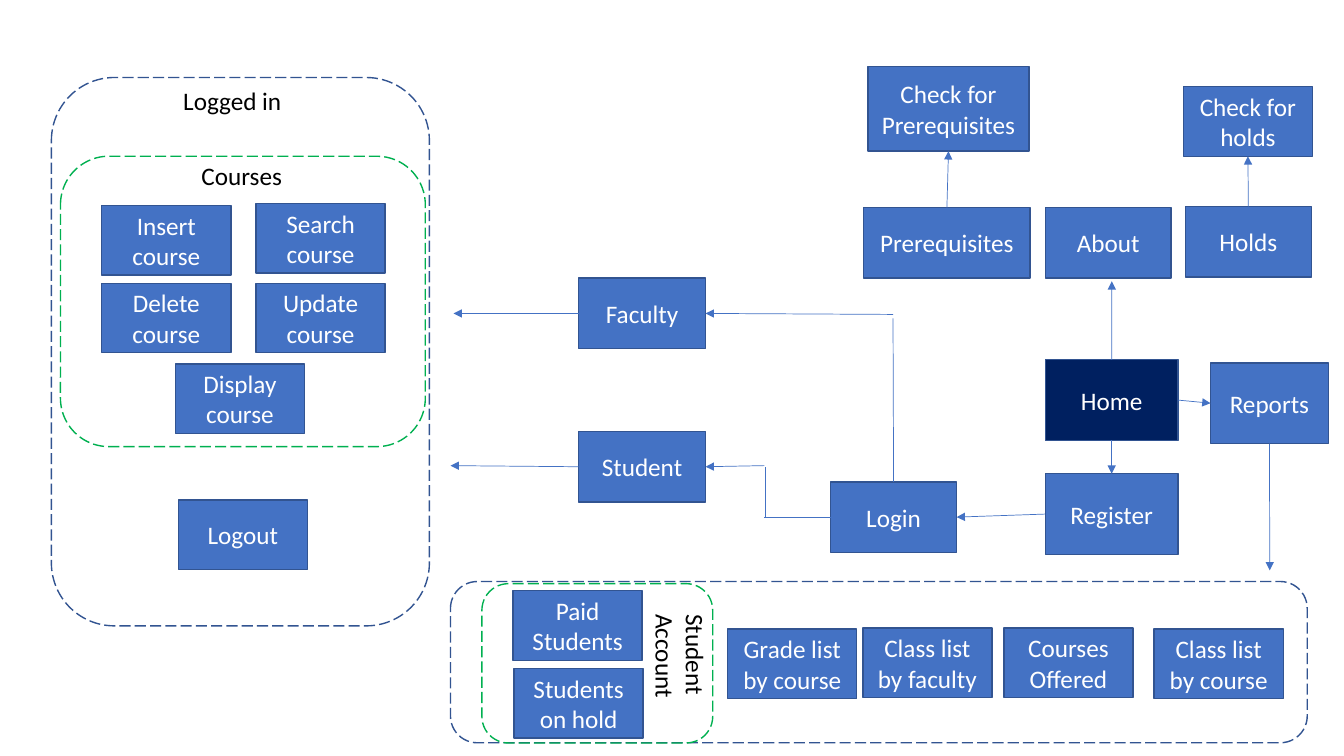
"""Draw the page map of a course registration site."""
from dataclasses import dataclass
from typing import Optional, Union

from lxml import etree
from pptx import Presentation
from pptx import util as u
from pptx.dml.color import RGBColor
from pptx.enum import dml, shapes, text
from pptx.oxml import ns

HUES = {"blue": "4472C4", "navy": "002060", "edge": "325491",
        "green": "00B050", "white": "FFFFFF", "black": "000000"}
FONT = {"name": "Calibri", "size": u.Pt(18)}
BODY = {"word_wrap": True, "vertical_anchor": text.MSO_ANCHOR.MIDDLE}
NOTE = {"auto_size": text.MSO_AUTO_SIZE.SHAPE_TO_FIT_TEXT}
KIND = shapes.MSO_SHAPE


@dataclass
class Box:
    label: str
    x: float
    y: float
    w: float = 92.2
    h: float = 49.7
    fill: str = "blue"


@dataclass
class Frame:
    x: float
    y: float
    w: float
    h: float
    hue: str


@dataclass
class Label:
    words: str
    x: float
    y: float
    w: float
    h: float
    wrap: bool = False
    turn: float = 0


@dataclass
class Port:
    label: str
    side: int


@dataclass
class Spot:
    x: float
    y: float


@dataclass
class Link:
    start: Union[Port, Spot]
    end: Union[Port, Spot]
    arrow: bool = True


TOP, LEFT, BASE, RIGHT = range(4)

FRAMES = [
    Frame(36.7, 55.4, 270, 391.7, "edge"),
    Frame(43.2, 111.6, 260.6, 207.4, "green"),
    Frame(321.8, 415.4, 612, 115.2, "edge"),
    Frame(344.2, 416.9, 164.9, 113.8, "green"),
]

BOXES = [
    Box("Home", 746.6, 257, 95, 57.6, "navy"),
    Box("Login", 593.3, 344.2, 90, 50.4),
    Box("About", 746.6, 148.3, 90, 50.4),
    Box("Holds", 846.7, 147.6, 90, 50.4),
    Box("Prerequisites", 617, 148.3, 118.8, 50.4),
    Box("Student", 413.3, 308.2, 90.7, 50.4),
    Box("Faculty", 413.3, 198.7, 90.7, 50.4),
    Box("Register", 746.6, 338.4, 95, 57.6),
    Box("Reports", 864.7, 259.2, 84.2, 57.6),
    Box("Check for Prerequisites", 619.9, 47.5, 115.2, 60.5),
    Box("Check for holds", 845.3, 61.9),
    Box("Insert course", 72.7, 146.9),
    Box("Search course", 182.9, 145.4),
    Box("Delete course", 72.7, 202.3),
    Box("Update course", 182.9, 202.3),
    Box("Display course", 125.3, 259.9),
    Box("Logout", 127.4, 357.1),
    Box("Paid Students", 366.5, 421.9),
    Box("Students on hold", 367.2, 477.4),
    Box("Grade list by course", 519.8, 449.3),
    Box("Class list by faculty", 616.3, 448.6),
    Box("Courses Offered", 717.1, 448.6),
    Box("Class list by course", 824.4, 449.3),
]

LABELS = [
    Label("Logged in", 123.8, 57.6, 85.7, 29),
    Label("Courses", 136.8, 110.9, 72.7, 29),
    Label("Student Account", 432, 460.1, 108, 51, True, 90),
]

LINKS = [
    Link(Port("Home", TOP), Spot(794.2, 200.9)),
    Link(Port("Home", RIGHT), Port("Reports", LEFT)),
    Link(Port("Home", BASE), Port("Register", TOP)),
    Link(Port("Register", LEFT), Port("Login", RIGHT)),
    Link(Port("Reports", BASE), Spot(907, 407.5)),
    Link(Port("Prerequisites", TOP), Port("Check for Prerequisites", BASE)),
    Link(Port("Holds", TOP), Port("Check for holds", BASE)),
    Link(Port("Login", TOP), Spot(637.9, 227.5), False),
    Link(Spot(637.9, 224.6), Port("Faculty", RIGHT)),
    Link(Port("Login", LEFT), Spot(546, 369.4), False),
    Link(Spot(546.5, 369.4), Spot(546.5, 333.4), False),
    Link(Spot(546, 332.6), Port("Student", RIGHT)),
    Link(Port("Student", LEFT), Spot(321.8, 332.6)),
    Link(Port("Faculty", LEFT), Spot(324, 223.9)),
]


def tint(name: str) -> RGBColor:
    """Return a named colour."""
    return RGBColor.from_string(HUES[name])


def apply(target, values: dict) -> None:
    """Set each format value on the target."""
    for key, value in values.items():
        setattr(target, key, value)


def write(shape, words: str, hue: str, body: dict, align=None) -> None:
    """Put formatted words in a shape."""
    frame = shape.text_frame
    apply(frame, body)
    para = frame.paragraphs[0]
    para.alignment = align
    run = para.add_run()
    run.text = words
    apply(run.font, FONT)
    run.font.color.rgb = tint(hue)


def place(slide, kind, item: Union[Box, Frame], hue: str):
    """Add an outlined shape without a shadow."""
    sides = map(u.Pt, (item.x, item.y, item.w, item.h))
    shape = slide.shapes.add_shape(kind, *sides)
    shape.shadow.inherit = False
    shape.line.color.rgb = tint(hue)
    shape.line.width = u.Pt(1)
    return shape


def draw_frame(slide, item: Frame) -> None:
    """Draw a dashed group outline."""
    shape = place(slide, KIND.ROUNDED_RECTANGLE, item, item.hue)
    shape.fill.background()
    shape.line.dash_style = dml.MSO_LINE.LONG_DASH


def draw_box(slide, item: Box):
    """Draw a page box and return it."""
    shape = place(slide, KIND.RECTANGLE, item, "edge")
    shape.fill.solid()
    shape.fill.fore_color.rgb = tint(item.fill)
    write(shape, item.label, "white", BODY, text.PP_ALIGN.CENTER)
    return shape


def draw_label(slide, item: Label) -> None:
    """Draw a group heading."""
    sides = map(u.Pt, (item.x, item.y, item.w, item.h))
    shape = slide.shapes.add_textbox(*sides)
    shape.rotation = item.turn
    write(shape, item.words, "black", {**NOTE, "word_wrap": item.wrap})


def draw_link(slide, item: Link, pages: dict) -> None:
    """Draw a line, joined to its page boxes."""
    ends = (item.start, item.end)
    spots = [end if isinstance(end, Spot) else Spot(0, 0) for end in ends]
    sides = [u.Pt(side) for spot in spots for side in (spot.x, spot.y)]
    line = slide.shapes.add_connector(shapes.MSO_CONNECTOR.STRAIGHT, *sides)
    for end, join in zip(ends, (line.begin_connect, line.end_connect)):
        if isinstance(end, Port):
            join(pages[end.label], end.side)
    line.line.color.rgb = tint("blue")
    line.line.width = u.Pt(0.5)
    props = line._element.spPr
    if item.arrow:
        stroke = props.find(ns.qn("a:ln"))
        etree.SubElement(stroke, ns.qn("a:tailEnd"), type="triangle")
    etree.SubElement(props, ns.qn("a:effectLst"))


def main(layout: Optional[int] = 6) -> None:
    """Build and save the slide."""
    deck = Presentation()
    apply(deck, {"slide_width": u.Pt(960), "slide_height": u.Pt(540)})
    slide = deck.slides.add_slide(deck.slide_layouts[layout])
    for frame in FRAMES:
        draw_frame(slide, frame)
    pages = {box.label: draw_box(slide, box) for box in BOXES}
    for link in LINKS:
        draw_link(slide, link, pages)
    for label in LABELS:
        draw_label(slide, label)
    deck.save("out.pptx")


if __name__ == "__main__":
    main()
